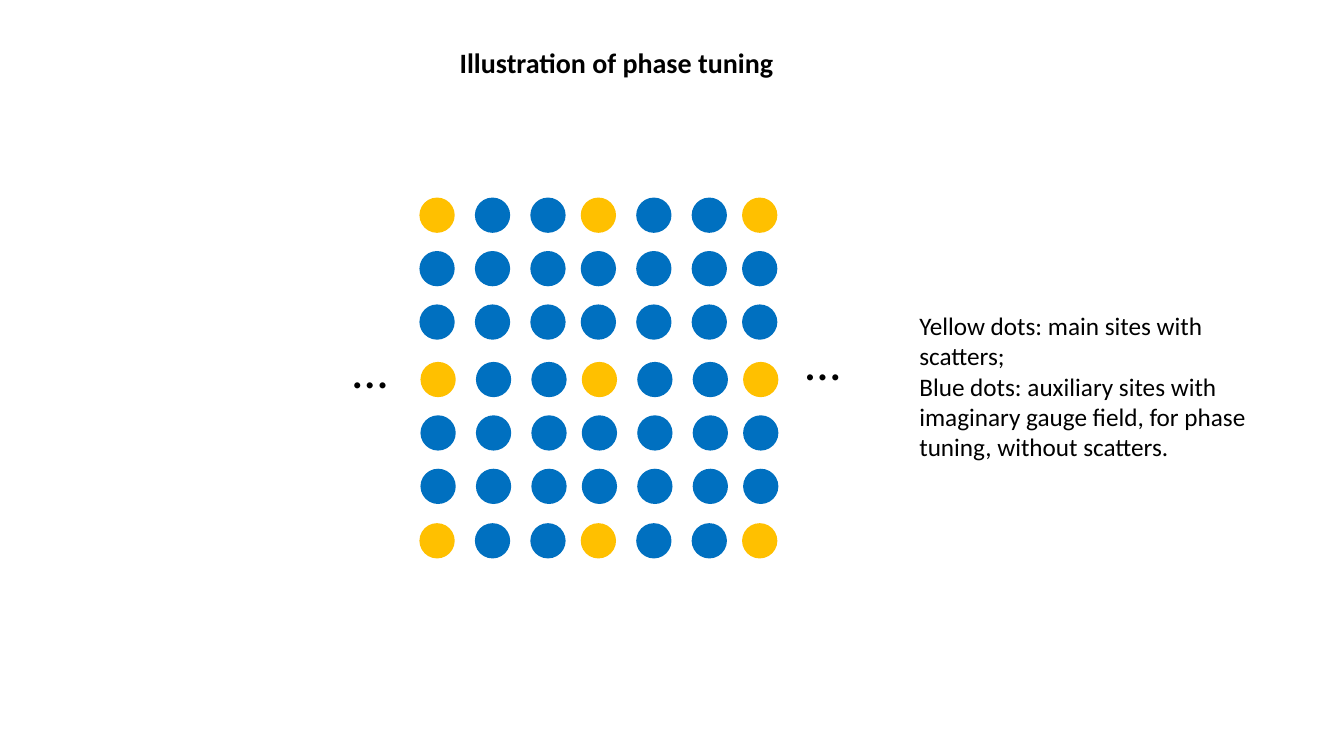
from dataclasses import dataclass

from pptx import Presentation
from pptx import util as u
from pptx.dml import color
from pptx.enum import shapes, text


@dataclass(frozen=True)
class Theme:
    font: str = "Calibri"
    ink: str = "000000"
    main: str = "FFC000"
    aux: str = "0070C0"
    title: int = 20
    body: int = 18
    dots: int = 36


class Board:
    def __init__(self, deck, theme):
        self.theme = theme
        self.slide = deck.slides.add_slide(deck.slide_layouts[6])

    def dot(self, left, top, size, fill):
        box = [u.Inches(v) for v in (left, top, size, size)]
        dot = self.slide.shapes.add_shape(shapes.MSO_SHAPE.OVAL, *box)
        dot.shadow.inherit = False
        dot.fill.solid()
        dot.fill.fore_color.rgb = color.RGBColor.from_string(fill)
        dot.line.fill.background()

    def label(self, box, lines, size, bold=False, align=text.PP_ALIGN.LEFT):
        area = self.slide.shapes.add_textbox(*[u.Inches(v) for v in box])
        frame = area.text_frame
        frame.word_wrap = True
        frame.auto_size = text.MSO_AUTO_SIZE.SHAPE_TO_FIT_TEXT
        frame.text = "\n".join(lines)
        style = {"name": self.theme.font, "size": u.Pt(size), "bold": bold}
        for para in frame.paragraphs:
            para.alignment = align
            for run in para.runs:
                for key, value in style.items():
                    setattr(run.font, key, value)
                run.font.color.rgb = color.RGBColor.from_string(self.theme.ink)

    def grid(self, lefts, tops, shifts, step, size):
        for block, (top, shift) in enumerate(zip(tops, shifts)):
            rows = 1 if block == len(tops) - 1 else 3
            for row in range(rows):
                for col, left in enumerate(lefts):
                    site = row == 0 and col % 3 == 0
                    fill = self.theme.main if site else self.theme.aux
                    self.dot(left + shift, top + row * step, size, fill)


def main():
    deck = Presentation()
    deck.slide_width = u.Inches(13.33)
    deck.slide_height = u.Inches(7.5)
    theme = Theme()
    board = Board(deck, theme)

    lefts = [4.16 + 1.6 * (col // 3) + 0.55 * (col % 3) for col in range(7)]
    board.grid(lefts, (1.96, 3.59, 5.19), (0, 0.01, 0), 0.53, 0.35)

    board.label((3.54, 0.4, 5.15, 0.44), ["Illustration of phase tuning"],
                theme.title, True, text.PP_ALIGN.CENTER)
    for left, top in ((3.4, 3.31), (7.89, 3.23)):
        board.label((left, top, 0.8, 0.71), ["…"], theme.dots)
    board.label((9.02, 3.03, 3.8, 1.62), [
        "Yellow dots: main sites with scatters;",
        "Blue dots: auxiliary sites with imaginary gauge field, "
        "for phase tuning, without scatters.",
    ], theme.body)
    deck.save("out.pptx")


if __name__ == "__main__":
    main()
